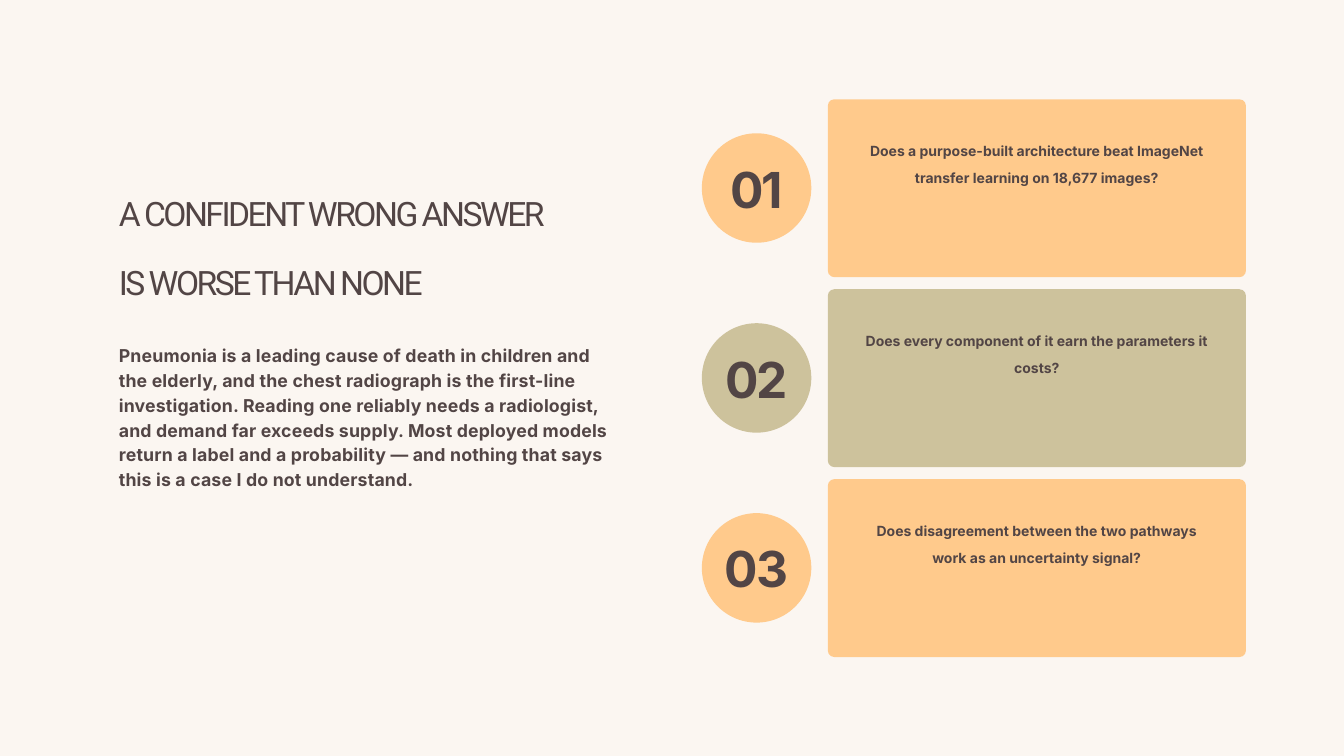
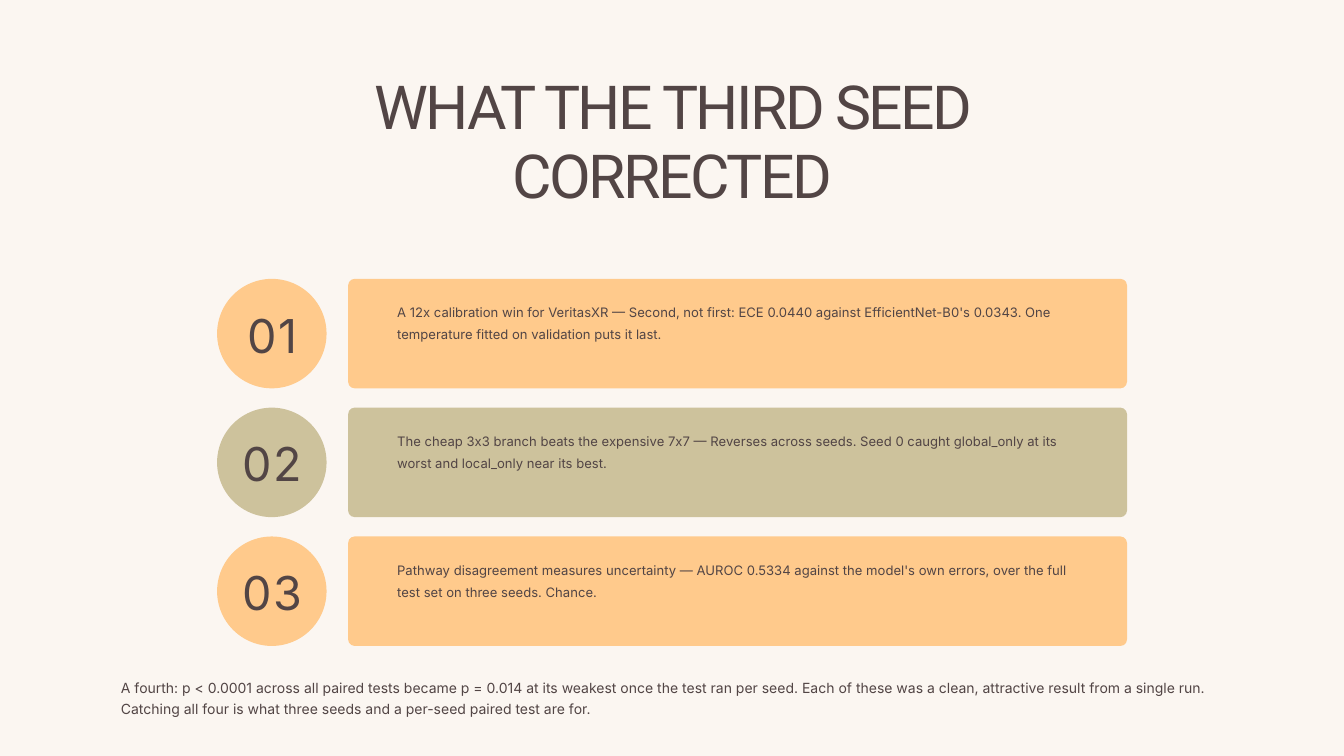
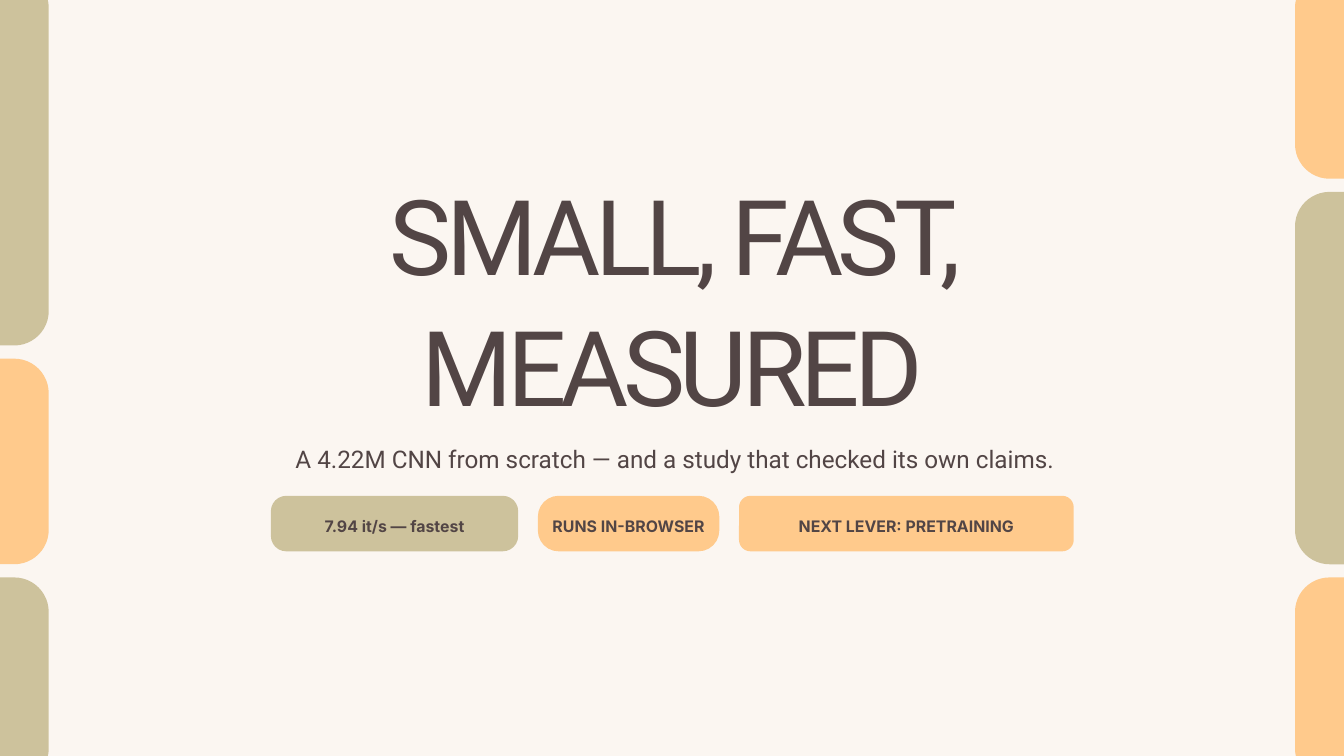
from pptx import Presentation
from pptx.dml.color import RGBColor
from pptx.enum import shapes, text
from pptx.util import Pt

COLORS = {"paper": "FBF6F1", "ink": "524545", "peach": "FFCA8C", "sage": "CDC29C"}
HEAD, BODY = "Roboto", "Inter"
LEFT, CENTER = text.PP_ALIGN.LEFT, text.PP_ALIGN.CENTER
TOP, MIDDLE = text.MSO_ANCHOR.TOP, text.MSO_ANCHOR.MIDDLE
CARD_COLORS = ["peach", "sage", "peach"]
CARD_RADIUS = 7


def add_text(s, words, x, y, w, h, size, font=BODY, bold=False, align=CENTER,
             anchor=TOP, leading=1.25, after=0, tracking=0):
    """Add a text box; leading is a Pt length or a multiple of the line height."""
    tf = s.shapes.add_textbox(Pt(x), Pt(y), Pt(w), Pt(h)).text_frame
    tf.word_wrap = True
    tf.vertical_anchor = anchor
    tf.margin_left = tf.margin_right = tf.margin_top = tf.margin_bottom = 0
    p = tf.paragraphs[0]
    p.alignment, p.line_spacing, p.space_after = align, leading, Pt(after)
    r = p.add_run()
    r.text = words
    r.font.name, r.font.size, r.font.bold = font, Pt(size), bold
    r.font.color.rgb = RGBColor.from_string(COLORS["ink"])
    if tracking:
        r._r.get_or_add_rPr().set("spc", str(round(tracking * 100)))


def add_block(s, color, x, y, w, h, radius=None):
    """Add a filled rounded rectangle, or an oval when no radius is given."""
    kind = shapes.MSO_SHAPE.ROUNDED_RECTANGLE if radius else shapes.MSO_SHAPE.OVAL
    sp = s.shapes.add_shape(kind, Pt(x), Pt(y), Pt(w), Pt(h))
    if radius:
        sp.adjustments[0] = radius / min(w, h)
    sp.shadow.inherit = False
    sp.fill.solid()
    sp.fill.fore_color.rgb = RGBColor.from_string(COLORS[color])
    sp.line.fill.background()


prs = Presentation()
prs.slide_width, prs.slide_height = Pt(1440), Pt(810)
slides = []
for _ in range(3):
    s = prs.slides.add_slide(prs.slide_layouts[6])
    s.background.fill.solid()
    s.background.fill.fore_color.rgb = RGBColor.from_string(COLORS["paper"])
    slides.append(s)
motivation, corrections, closing = slides

# Slide 1: motivation and three questions
questions = [
    "Does a purpose-built architecture beat ImageNet transfer learning on 18,677 images?",
    "Does every component of it earn the parameters it costs?",
    "Does disagreement between the two pathways work as an uncertainty signal?",
]
for i, (question, color) in enumerate(zip(questions, CARD_COLORS)):
    y = 106.4 + i * 203.5
    add_block(motivation, color, 887, y, 448, 190.6, CARD_RADIUS)
    add_text(motivation, question, 926.6, y + 34.7, 368.6, 116, 15, bold=True, leading=Pt(29.3))
    add_block(motivation, color, 752, y + 36.4, 117.3, 117.3)
    add_text(motivation, f"{i + 1:02}", 755.3, y + 63.5, 110.9, 64, 53.1, bold=True,
             leading=Pt(63.7), tracking=-1.9)
add_text(motivation, "A CONFIDENT WRONG ANSWER IS WORSE THAN NONE", 127.4, 175.7, 468, 176.4, 36,
         font=HEAD, align=LEFT, leading=Pt(74.1), tracking=-2.7)
add_text(motivation,
         "Pneumonia is a leading cause of death in children and the elderly, and the chest "
         "radiograph is the first-line investigation. Reading one reliably needs a radiologist, "
         "and demand far exceeds supply. Most deployed models return a label and a probability "
         "— and nothing that says this is a case I do not understand.",
         127.4, 365.8, 528.5, 242, 19, bold=True, align=LEFT, leading=Pt(26.6), tracking=0.2)

# Slide 2: corrected findings
add_text(corrections, "WHAT THE THIRD SEED CORRECTED", 265, 77.8, 910.8, 176.4, 65,
         font=HEAD, leading=Pt(74.1), tracking=-2.7)
findings = [
    "A 12x calibration win for VeritasXR — Second, not first: ECE 0.0440 against "
    "EfficientNet-B0's 0.0343. One temperature fitted on validation puts it last.",
    "The cheap 3x3 branch beats the expensive 7x7 — Reverses across seeds. Seed 0 caught "
    "global_only at its worst and local_only near its best.",
    "Pathway disagreement measures uncertainty — AUROC 0.5334 against the model's own errors, "
    "over the full test set on three seeds. Chance.",
]
for i, (finding, color) in enumerate(zip(findings, CARD_COLORS)):
    y = 298.8 + i * 138
    add_block(corrections, color, 373, y, 834.5, 117.3, CARD_RADIUS)
    add_text(corrections, finding, 425.5, y + 21.2, 728.6, 69, 14, align=LEFT, leading=Pt(23.5))
    add_block(corrections, color, 232.6, y, 117.3, 117.3)
    add_text(corrections, f"{i + 1:02}", 252.7, y + 29.5, 77.8, 60.5, 50,
             leading=Pt(60), tracking=1.8)
add_text(corrections,
         "A fourth: p < 0.0001 across all paired tests became p = 0.014 at its weakest once the "
         "test ran per seed. Each of these was a clean, attractive result from a single run. "
         "Catching all four is what three seeds and a per-seed paired test are for.",
         129.6, 723.6, 1180.8, 64.8, 15, align=LEFT, after=6)

# Slide 3: closing, with bands bleeding off both sides
TALL, SHORT, BAND_GAP = 399, 220.3, 14.1
bands = [
    (-98, [("sage", TALL), ("peach", SHORT), ("sage", SHORT)]),
    (1387.5, [("peach", SHORT), ("sage", TALL), ("peach", SHORT)]),
]
for x, column in bands:
    y = -28.8
    for color, h in column:
        add_block(closing, color, x, y, 150.2, h, 37)
        y += h + BAND_GAP

add_text(closing, "SMALL, FAST, MEASURED", 270.7, 177.8, 899.3, 352.8, 112,
         font=HEAD, leading=Pt(140.2), tracking=-6)
add_text(closing, "A 4.22M CNN from scratch — and a study that checked its own claims.",
         273.6, 468, 900, 57.6, 26, font=HEAD, after=6)
pills = [
    ("7.94 it/s — fastest", "sage", 265, 16.5),
    ("RUNS IN-BROWSER", "peach", 194.4, 22.3),
    ("NEXT LEVER: PRETRAINING", "peach", 358.6, 12.3),
]
x = 290.2
for label, color, w, radius in pills:
    add_block(closing, color, x, 531.2, w, 59.5, radius)
    add_text(closing, label, x, 543.5, w, 36, 17, bold=True, anchor=MIDDLE, after=6)
    x += w + 21.1

prs.save("out.pptx")
